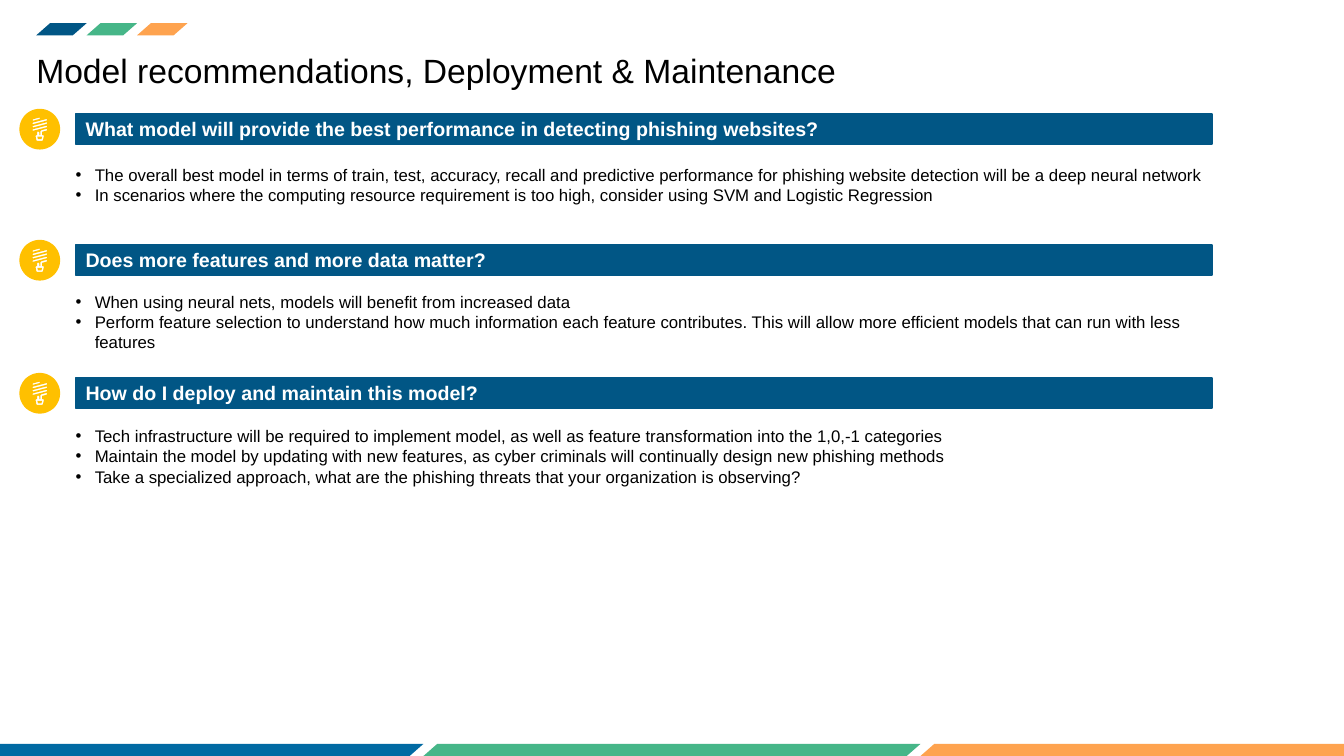
from dataclasses import dataclass
from math import cos, pi, sin

from lxml.etree import SubElement
from pptx import Presentation
from pptx.dml.color import RGBColor
from pptx.enum.shapes import MSO_SHAPE
from pptx.enum.text import MSO_ANCHOR, MSO_AUTO_SIZE, PP_ALIGN
from pptx.oxml.ns import qn
from pptx.slide import Slide
from pptx.util import Emu, Pt

PX = 9144  # EMU per px, 100 px to the inch
FINE = PX / 10  # icon outlines are drawn in tenths of a px

BLACK, WHITE = "000000", "FFFFFF"
NAVY, BLUE, GREEN, ORANGE, YELLOW = "015685", "016AA3", "46B688", "FEA34F", "FFC000"
CONTENT_LEFT, CONTENT_WIDTH, BAR_HEIGHT = 75, 1127, 30
BULLET_INDENT = 19

Contour = list[tuple[int, int]]


@dataclass
class Section:
    question: str
    bar_top: int
    text_top: int
    text_height: int
    answers: list[str]


@dataclass
class Stripes:
    left: int
    top: int
    width: int
    colours: list[str]


SECTIONS = [
    Section("What model will provide the best performance in detecting phishing websites?", 113, 163, 40, [
        "The overall best model in terms of train, test, accuracy, recall and predictive performance "
        "for phishing website detection will be a deep neural network",
        "In scenarios where the computing resource requirement is too high, consider using SVM and "
        "Logistic Regression",
    ]),
    Section("Does more features and more data matter?", 243, 289, 61, [
        "When using neural nets, models will benefit from increased data",
        "Perform feature selection to understand how much information each feature contributes. "
        "This will allow more efficient models that can run with less features",
    ]),
    Section("How do I deploy and maintain this model?", 375, 422, 61, [
        "Tech infrastructure will be required to implement model, as well as feature transformation "
        "into the 1,0,-1 categories",
        "Maintain the model by updating with new features, as cyber criminals will continually design "
        "new phishing methods",
        "Take a specialized approach, what are the phishing threats that your organization is observing?",
    ]),
]

FOOTER = Stripes(-73, 738, 493, [BLUE, GREEN, ORANGE])
HEADER = Stripes(36, 23, 50, [NAVY, GREEN, ORANGE])

# Light bulb: disc with the coil and socket cut out
DISC = [(round(205 + 202 * cos(i * pi / 36)), round(202 + 202 * sin(i * pi / 36))) for i in range(72)]
SHORT_COIL = [(137, 104), (201, 87), (208, 92), (203, 101), (140, 118), (131, 112)]
LONG_COIL = [(137, 137), (272, 101), (280, 107), (274, 117), (140, 152), (131, 146)]
COILS = [[(x, y + 33 * i) for x, y in LONG_COIL] for i in range(3)]
SOCKET = [(280, 207), (272, 199), (222, 212), (212, 221), (212, 260), (200, 260), (200, 233),
          (193, 226), (184, 226), (178, 233), (178, 260), (170, 260), (163, 268), (171, 311),
          (179, 318), (229, 318), (237, 311), (246, 268), (239, 260), (228, 260), (228, 228),
          (274, 216)]
SOCKET_CORE = [(181, 277), (228, 277), (222, 302), (187, 302)]
BULB = [DISC, SHORT_COIL, *COILS, SOCKET, SOCKET_CORE]


def colour(value: str) -> RGBColor:
    return RGBColor.from_string(value)


def px(*lengths: int) -> list[Emu]:
    return [Emu(length * PX) for length in lengths]


def paint(shape, fill: str, line: str | None = None) -> None:
    shape.shadow.inherit = False
    shape.fill.solid()
    shape.fill.fore_color.rgb = colour(fill)
    if line:
        shape.line.color.rgb = colour(line)
        shape.line.width = Pt(1)
    else:
        shape.line.fill.background()


def write(para, text: str, size: int, ink: str, bold: bool = False) -> None:
    para.alignment = PP_ALIGN.LEFT
    span = para.add_run()
    span.text = text
    for name, value in {"name": "Arial", "size": Pt(size), "bold": bold}.items():
        setattr(span.font, name, value)
    span.font.color.rgb = colour(ink)


def add_bullet(para) -> None:
    properties = para._p.get_or_add_pPr()
    properties.set("marL", str(BULLET_INDENT * PX))
    properties.set("indent", str(-BULLET_INDENT * PX))
    SubElement(properties, qn("a:buFont")).set("typeface", "Arial")
    SubElement(properties, qn("a:buChar")).set("char", "•")


def draw_text(page: Slide, left: int, top: int, width: int, height: int,
              lines: list[str], size: int, bulleted: bool = False) -> None:
    frame = page.shapes.add_textbox(*px(left, top, width, height)).text_frame
    layout = {"word_wrap": True, "auto_size": MSO_AUTO_SIZE.SHAPE_TO_FIT_TEXT,
              "vertical_anchor": MSO_ANCHOR.MIDDLE, "margin_left": 0, "margin_right": 0,
              "margin_top": 0, "margin_bottom": 0}
    for name, value in layout.items():
        setattr(frame, name, value)
    for i, line in enumerate(lines):
        para = frame.add_paragraph() if i else frame.paragraphs[0]
        write(para, line, size, BLACK)
        if bulleted:
            add_bullet(para)


def draw_stripes(page: Slide, stripes: Stripes) -> None:
    group = page.shapes.add_group_shape()
    for i, fill in enumerate(stripes.colours):
        left = stripes.left + i * stripes.width
        stripe = group.shapes.add_shape(MSO_SHAPE.PARALLELOGRAM, *px(left, stripes.top, stripes.width, 12))
        stripe.adjustments[0] = 1.14
        paint(stripe, fill)


def draw_icon(page: Slide, left: int, top: int, contours: list[Contour]) -> None:
    builder = page.shapes.build_freeform(*contours[0][0], scale=FINE)
    for i, contour in enumerate(contours):
        if i:
            builder.move_to(*contour[0])
        builder.add_line_segments(contour[1:], close=True)
    paint(builder.convert_to_shape(*px(left, top)), YELLOW)


def draw_section(page: Slide, section: Section) -> None:
    bar = page.shapes.add_shape(
        MSO_SHAPE.RECTANGLE, *px(CONTENT_LEFT, section.bar_top, CONTENT_WIDTH, BAR_HEIGHT))
    paint(bar, NAVY, NAVY)
    bar.text_frame.word_wrap = True
    bar.text_frame.vertical_anchor = MSO_ANCHOR.MIDDLE
    write(bar.text_frame.paragraphs[0], section.question, 14, WHITE, bold=True)
    draw_icon(page, 19, section.bar_top - 5, BULB)
    draw_text(page, CONTENT_LEFT, section.text_top, CONTENT_WIDTH, section.text_height,
              section.answers, 12, bulleted=True)


def main() -> None:
    deck = Presentation()
    deck.slide_width, deck.slide_height = px(1333, 750)
    page = deck.slides.add_slide(deck.slide_layouts[6])

    # Frame and title
    draw_stripes(page, FOOTER)
    draw_text(page, 36, 50, 828, 40, ["Model recommendations, Deployment & Maintenance"], 24)
    draw_stripes(page, HEADER)

    # Questions and answers
    for section in SECTIONS:
        draw_section(page, section)

    deck.save("out.pptx")


if __name__ == "__main__":
    main()
